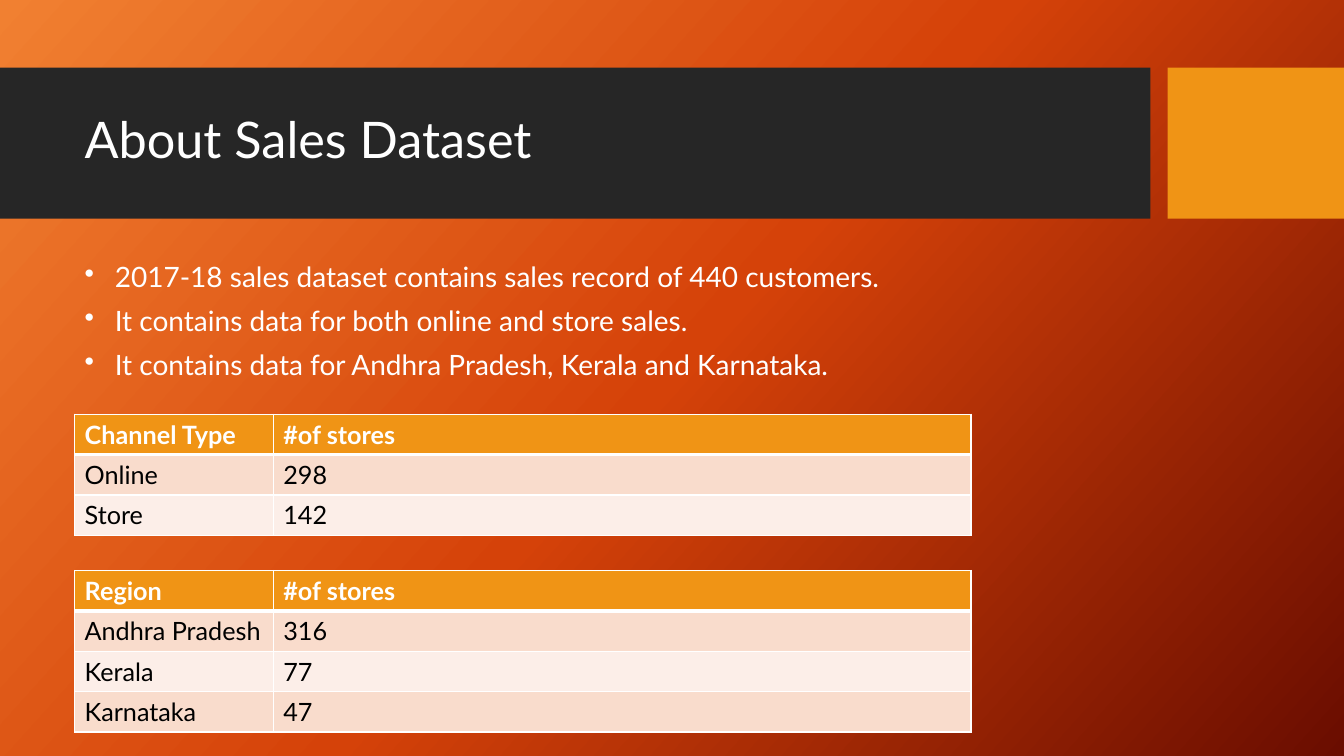
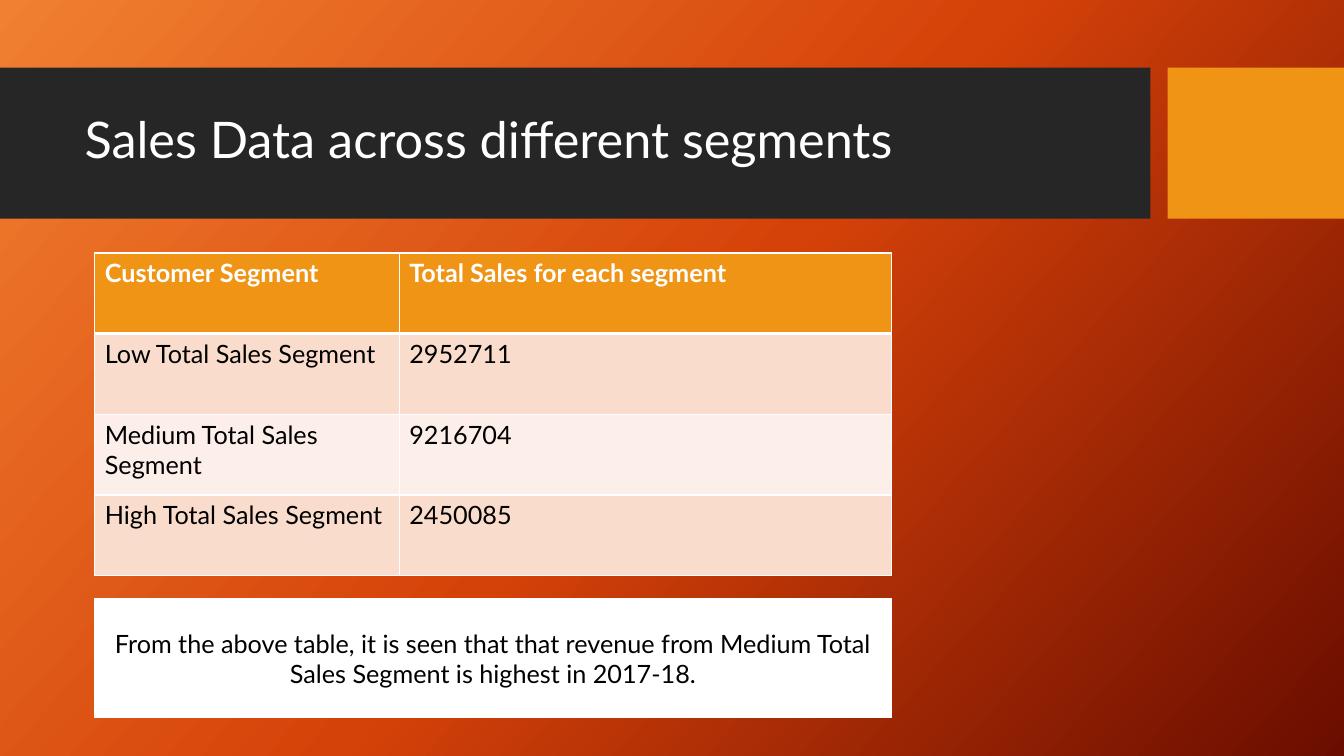
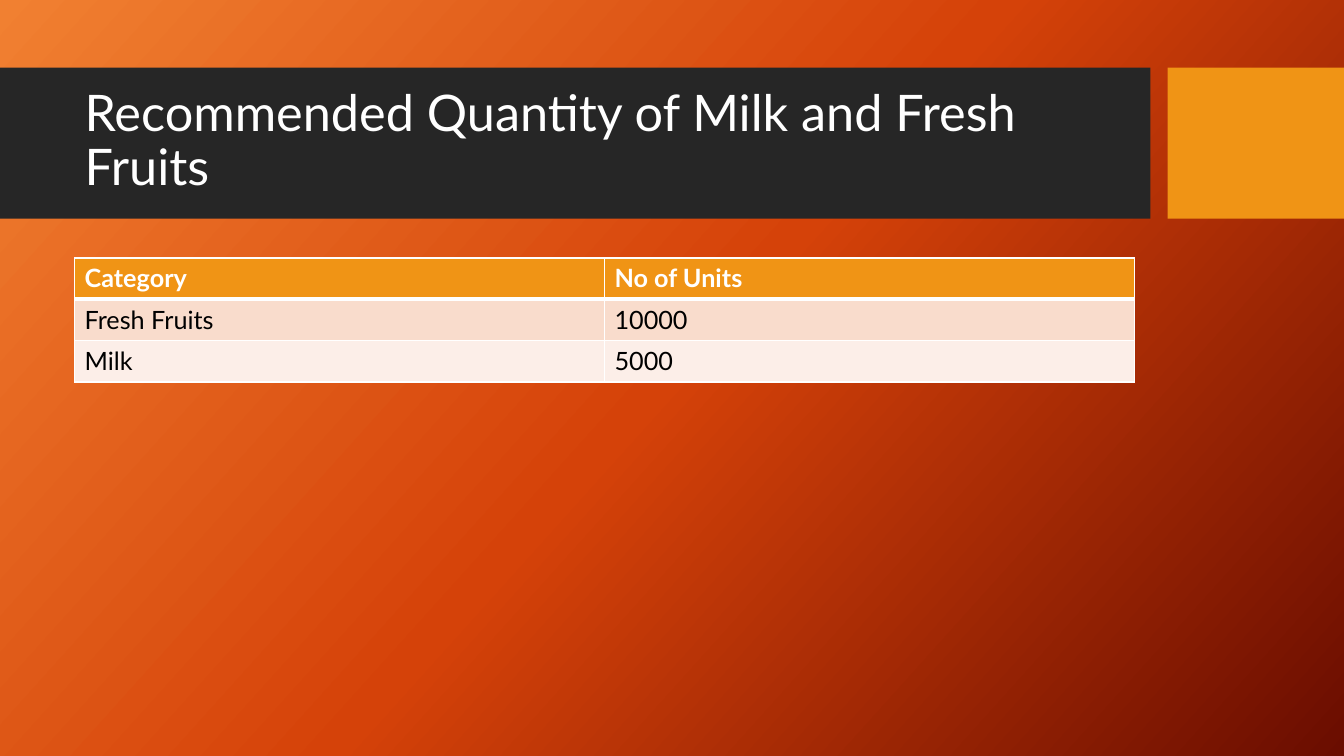
from lxml.etree import SubElement
from pptx import Presentation
from pptx.dml.color import RGBColor
from pptx.enum.shapes import MSO_SHAPE
from pptx.enum.text import MSO_ANCHOR, PP_ALIGN
from pptx.oxml.ns import qn
from pptx.util import Inches, Pt

FONT = "Lato"
WHITE = RGBColor(0xFF, 0xFF, 0xFF)
BLACK = RGBColor(0x00, 0x00, 0x00)
CHARCOAL = RGBColor(0x26, 0x26, 0x26)
AMBER = RGBColor(0xF0, 0x94, 0x15)
PEACH = RGBColor(0xF9, 0xDC, 0xCC)
BLUSH = RGBColor(0xFC, 0xEE, 0xE8)
BACKDROP = [
    (0, RGBColor(0xF1, 0x80, 0x31)),
    (50, RGBColor(0xD5, 0x42, 0x09)),
    (100, RGBColor(0x6A, 0x0D, 0x00)),
]
BACKDROP_ANGLE = 42
LEFT = 0.74
CONTENT_WIDTH = 10.51
BULLET_INDENT = 0.3


def paint_backdrop(master):
    fill = master.background.fill
    fill.gradient()
    fill.gradient_angle = 360 - BACKDROP_ANGLE
    stops = master.element.find(".//" + qn("p:bg")).find(".//" + qn("a:gsLst"))
    for old_stop in list(stops):
        stops.remove(old_stop)
    for percent, color in BACKDROP:
        stop = SubElement(stops, qn("a:gs"), pos=str(percent * 1000))
        SubElement(stop, qn("a:srgbClr"), val=str(color))


def add_run(paragraph, text, size, color, bold=False):
    run = paragraph.add_run()
    run.text = text
    font = run.font
    font.name, font.size, font.bold = FONT, Pt(size), bold
    font.color.rgb = color


def add_block(slide, left, top, width, height, color):
    block = slide.shapes.add_shape(
        MSO_SHAPE.RECTANGLE, Inches(left), Inches(top), Inches(width), Inches(height)
    )
    block.shadow.inherit = False
    block.fill.solid()
    block.fill.fore_color.rgb = color
    block.line.fill.background()
    return block


def add_text_frame(slide, top, height):
    box = slide.shapes.add_textbox(
        Inches(LEFT), Inches(top), Inches(CONTENT_WIDTH), Inches(height)
    )
    box.text_frame.word_wrap = True
    return box.text_frame


def add_titled_slide(prs, title):
    slide = prs.slides.add_slide(prs.slide_layouts[6])
    add_block(slide, 0, 0.67, 11.41, 1.5, CHARCOAL)
    add_block(slide, 11.58, 0.67, 1.75, 1.5, AMBER)
    frame = add_text_frame(slide, 0.82, 1.18)
    frame.vertical_anchor = MSO_ANCHOR.MIDDLE
    heading = frame.paragraphs[0]
    heading.line_spacing = 0.9
    add_run(heading, title, 36, WHITE)
    return slide


def add_bullets(slide, top, height, items):
    frame = add_text_frame(slide, top, height)
    for index, item in enumerate(items):
        paragraph = frame.add_paragraph() if index else frame.paragraphs[0]
        paragraph.line_spacing = 0.9
        paragraph.space_before = Pt(10)
        properties = paragraph._p.get_or_add_pPr()
        properties.set("marL", str(Inches(BULLET_INDENT)))
        properties.set("indent", str(-Inches(BULLET_INDENT)))
        SubElement(properties, qn("a:buChar"), char="•")
        add_run(paragraph, item, 20, WHITE)


def set_borders(cell, top, bottom):
    properties = cell._tc.get_or_add_tcPr()
    for side, width in (("L", 1), ("R", 1), ("T", top), ("B", bottom)):
        border = SubElement(properties, qn(f"a:ln{side}"), w=str(Pt(width)))
        paint = SubElement(border, qn("a:solidFill"))
        SubElement(paint, qn("a:srgbClr"), val=str(WHITE))


def add_data_table(slide, left, top, column_widths, row_height, rows):
    table = slide.shapes.add_table(
        len(rows), len(column_widths), Inches(left), Inches(top),
        Inches(sum(column_widths)), Inches(row_height * len(rows)),
    ).table
    table.first_row = table.horz_banding = False
    for column, width in zip(table.columns, column_widths):
        column.width = Inches(width)
    for index, values in enumerate(rows):
        table.rows[index].height = Inches(row_height)
        is_header = index == 0
        band = AMBER if is_header else PEACH if index % 2 else BLUSH
        for cell, value in zip(table.rows[index].cells, values):
            set_borders(cell, 3 if index == 1 else 1, 3 if is_header else 1)
            cell.fill.solid()
            cell.fill.fore_color.rgb = band
            add_run(cell.text_frame.paragraphs[0], value, 18,
                    WHITE if is_header else BLACK, is_header)


def add_callout(slide, left, top, width, height, text):
    callout = add_block(slide, left, top, width, height, WHITE)
    callout.line.color.rgb = WHITE
    callout.line.width = Pt(1)
    frame = callout.text_frame
    frame.word_wrap = True
    frame.vertical_anchor = MSO_ANCHOR.MIDDLE
    paragraph = frame.paragraphs[0]
    paragraph.alignment = PP_ALIGN.CENTER
    add_run(paragraph, text, 18, BLACK)


def build_dataset_slide(prs):
    slide = add_titled_slide(prs, "About Sales Dataset")
    add_bullets(slide, 2.56, 1.5, [
        "2017-18 sales dataset contains sales record of 440 customers.",
        "It contains data for both online and store sales.",
        "It contains data for Andhra Pradesh, Kerala and Karnataka.",
    ])
    store_columns = [1.97, 6.92]
    add_data_table(slide, LEFT, 4.11, store_columns, 0.4, [
        ("Channel Type", "#of stores"),
        ("Online", "298"),
        ("Store", "142"),
    ])
    add_data_table(slide, LEFT, 5.66, store_columns, 0.4, [
        ("Region", "#of stores"),
        ("Andhra Pradesh", "316"),
        ("Kerala", "77"),
        ("Karnataka", "47"),
    ])


def build_segments_slide(prs):
    slide = add_titled_slide(prs, "Sales Data across different segments")
    add_data_table(slide, 0.94, 2.51, [3.02, 4.88], 0.8, [
        ("Customer Segment", "Total Sales for each segment"),
        ("Low Total Sales Segment", "2952711"),
        ("Medium Total Sales Segment", "9216704"),
        ("High Total Sales Segment", "2450085"),
    ])
    add_callout(
        slide, 0.94, 5.94, 7.9, 1.18,
        "From the above table, it is seen that that revenue from Medium Total "
        "Sales Segment is highest in 2017-18.",
    )


def build_quantity_slide(prs):
    slide = add_titled_slide(prs, "Recommended Quantity of Milk and Fresh Fruits")
    add_data_table(slide, LEFT, 2.56, [CONTENT_WIDTH / 2] * 2, 0.41, [
        ("Category", "No of Units"),
        ("Fresh Fruits", "10000"),
        ("Milk", "5000"),
    ])


def main():
    prs = Presentation()
    prs.slide_width, prs.slide_height = Inches(13.33), Inches(7.5)
    paint_backdrop(prs.slide_master)
    build_dataset_slide(prs)
    build_segments_slide(prs)
    build_quantity_slide(prs)
    prs.save("out.pptx")


if __name__ == "__main__":
    main()
